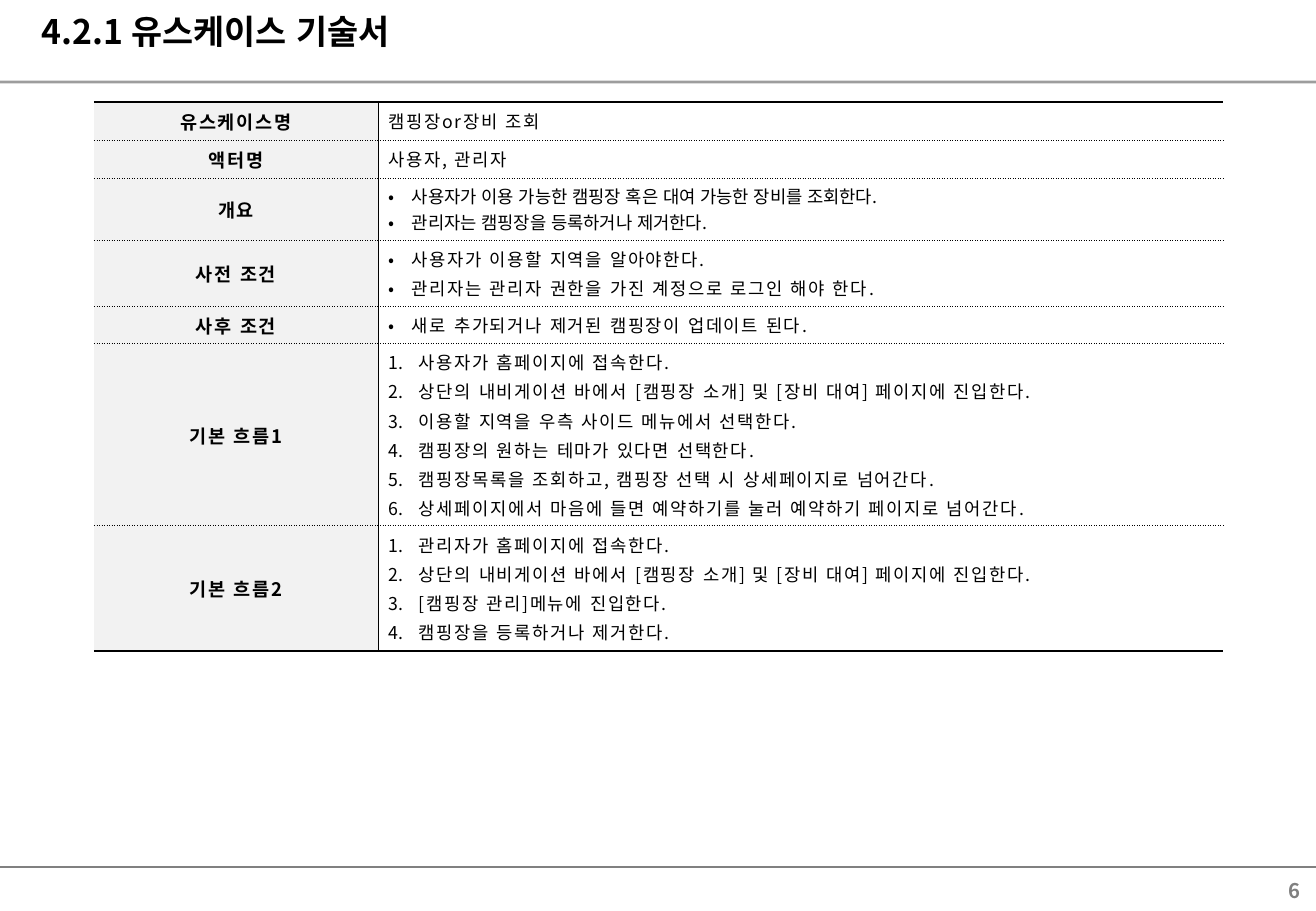
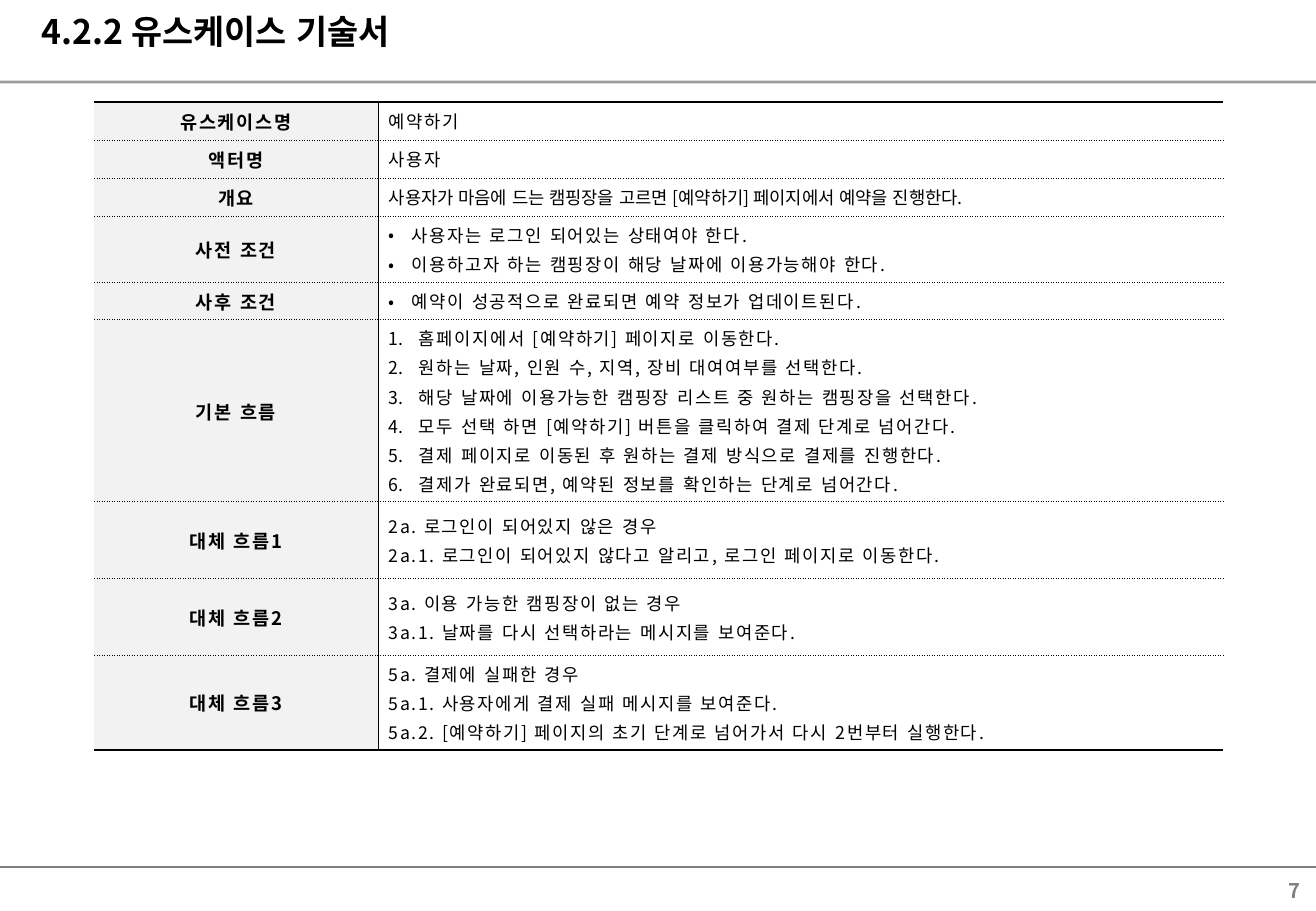
from dataclasses import dataclass
from enum import Enum
from itertools import count
from typing import Any

from lxml.etree import SubElement
from pptx import Presentation
from pptx.dml.color import RGBColor
from pptx.enum.shapes import MSO_CONNECTOR
from pptx.enum.text import MSO_ANCHOR, PP_ALIGN
from pptx.oxml.ns import qn
from pptx.util import Emu, Pt

# Shared look
SCALE = 7526  # EMU in one px
FONT = "Noto Sans CJK KR"
BLACK = RGBColor(0x00, 0x00, 0x00)
GRAY = RGBColor(0x80, 0x80, 0x80)
PALE = RGBColor(0xF2, 0xF2, 0xF2)
WHITE = RGBColor(0xFF, 0xFF, 0xFF)
WIDE, HIGH = 1316, 911
LEFT, TOP = 94, 102
COLS = (284, 845)

TITLE = {"size": Pt(20), "bold": True, "color": BLACK}
PAGE = {"size": Pt(12), "bold": True, "color": GRAY}
LABEL = {"size": Pt(11), "bold": True, "color": BLACK}
BODY = {"size": Pt(10.5), "bold": False, "color": BLACK}


class Mark(Enum):
    NONE = 0
    DOT = 23
    NUM = 30  # each value is the hanging indent in px


@dataclass(frozen=True)
class Row:
    name: str
    high: int
    lines: tuple[str, ...]
    mark: Mark = Mark.NONE
    tight: bool = False


@dataclass(frozen=True)
class Sheet:
    title: str
    page: int
    rows: tuple[Row, ...]


SHEETS = (
    Sheet("4.2.1 유스케이스 기술서", 6, (
        Row("유스케이스명", 38, ("캠핑장or장비 조회",)),
        Row("액터명", 38, ("사용자, 관리자",)),
        Row("개요", 62, (
            "사용자가 이용 가능한 캠핑장 혹은 대여 가능한 장비를 조회한다.",
            "관리자는 캠핑장을 등록하거나 제거한다.",
        ), Mark.DOT, True),
        Row("사전 조건", 66, (
            "사용자가 이용할 지역을 알아야한다.",
            "관리자는 관리자 권한을 가진 계정으로 로그인 해야 한다.",
        ), Mark.DOT),
        Row("사후 조건", 38, ("새로 추가되거나 제거된 캠핑장이 업데이트 된다.",), Mark.DOT),
        Row("기본 흐름1", 182, (
            "사용자가 홈페이지에 접속한다.",
            "상단의 내비게이션 바에서 [캠핑장 소개] 및 [장비 대여] 페이지에 진입한다.",
            "이용할 지역을 우측 사이드 메뉴에서 선택한다.",
            "캠핑장의 원하는 테마가 있다면 선택한다.",
            "캠핑장목록을 조회하고, 캠핑장 선택 시 상세페이지로 넘어간다.",
            "상세페이지에서 마음에 들면 예약하기를 눌러 예약하기 페이지로 넘어간다.",
        ), Mark.NUM),
        Row("기본 흐름2", 125, (
            "관리자가 홈페이지에 접속한다.",
            "상단의 내비게이션 바에서 [캠핑장 소개] 및 [장비 대여] 페이지에 진입한다.",
            "[캠핑장 관리]메뉴에 진입한다.",
            "캠핑장을 등록하거나 제거한다.",
        ), Mark.NUM),
    )),
    Sheet("4.2.2 유스케이스 기술서", 7, (
        Row("유스케이스명", 38, ("예약하기",)),
        Row("액터명", 38, ("사용자",)),
        Row("개요", 38, (
            "사용자가 마음에 드는 캠핑장을 고르면 [예약하기] 페이지에서 예약을 진행한다.",
        ), tight=True),
        Row("사전 조건", 66, (
            "사용자는 로그인 되어있는 상태여야 한다.",
            "이용하고자 하는 캠핑장이 해당 날짜에 이용가능해야 한다.",
        ), Mark.DOT),
        Row("사후 조건", 38, ("예약이 성공적으로 완료되면 예약 정보가 업데이트된다.",), Mark.DOT),
        Row("기본 흐름", 182, (
            "홈페이지에서 [예약하기] 페이지로 이동한다.",
            "원하는 날짜, 인원 수, 지역, 장비 대여여부를 선택한다.",
            "해당 날짜에 이용가능한 캠핑장 리스트 중 원하는 캠핑장을 선택한다.",
            "모두 선택 하면 [예약하기] 버튼을 클릭하여 결제 단계로 넘어간다.",
            "결제 페이지로 이동된 후 원하는 결제 방식으로 결제를 진행한다.",
            "결제가 완료되면, 예약된 정보를 확인하는 단계로 넘어간다.",
        ), Mark.NUM),
        Row("대체 흐름1", 77, (
            "2a. 로그인이 되어있지 않은 경우",
            "2a.1. 로그인이 되어있지 않다고 알리고, 로그인 페이지로 이동한다.",
        )),
        Row("대체 흐름2", 77, (
            "3a. 이용 가능한 캠핑장이 없는 경우",
            "3a.1. 날짜를 다시 선택하라는 메시지를 보여준다.",
        )),
        Row("대체 흐름3", 94, (
            "5a. 결제에 실패한 경우",
            "5a.1. 사용자에게 결제 실패 메시지를 보여준다.",
            "5a.2. [예약하기] 페이지의 초기 단계로 넘어가서 다시 2번부터 실행한다.",
        )),
    )),
)


def px(size: int) -> Emu:
    return Emu(size * SCALE)


def put(item: Any, form: dict[str, Any]) -> None:
    for key, value in form.items():
        setattr(item, key, value)


def write(para: Any, text: str, form: dict[str, Any], gap: int = 0) -> None:
    """Add one run; gap is letter spacing in hundredths of a point."""
    run = para.add_run()
    run.text = text
    font = run.font
    font.color.rgb = form["color"]
    put(font, {"size": form["size"], "bold": form["bold"], "name": FONT})
    props = run._r.get_or_add_rPr()
    props.set("lang", "ko-KR")
    props.set("spc", str(gap))
    SubElement(props, qn("a:ea"), typeface=FONT)


def bullet(para: Any, mark: Mark) -> None:
    if mark is Mark.NONE:
        return
    props = para._p.get_or_add_pPr()
    props.set("marL", str(px(mark.value)))
    props.set("indent", str(-px(mark.value)))
    SubElement(props, qn("a:buFont"), typeface=FONT)
    if mark is Mark.DOT:
        SubElement(props, qn("a:buChar"), char="•")
    else:
        SubElement(props, qn("a:buAutoNum"), type="arabicPeriod")


def box(slide: Any, area: tuple[int, int, int, int], text: str,
        form: dict[str, Any], align: PP_ALIGN, anchor: MSO_ANCHOR) -> None:
    frame = slide.shapes.add_textbox(*map(px, area)).text_frame
    put(frame, {"word_wrap": True, "vertical_anchor": anchor,
                "margin_left": px(12), "margin_right": px(12),
                "margin_top": 0, "margin_bottom": 0})
    para = frame.paragraphs[0]
    para.alignment = align
    write(para, text, form)


def rule(slide: Any, y: int, width: float, alpha: int = 100) -> None:
    line = slide.shapes.add_connector(
        MSO_CONNECTOR.STRAIGHT, 0, px(y), px(WIDE), px(y))
    line.line.color.rgb = GRAY
    line.line.width = Pt(width)
    props = line._element.spPr
    SubElement(props, qn("a:effectLst"))
    if alpha < 100:
        color = next(props.iter(qn("a:srgbClr")))
        SubElement(color, qn("a:alpha"), val=str(alpha * 1000))


def edge(cell: Any, side: str, width: float, dash: str = "solid") -> None:
    """Draw one cell border; a zero width means none."""
    props = cell._tc.get_or_add_tcPr()
    line = SubElement(props, qn(f"a:ln{side}"), w=str(Pt(width)))
    if not width:
        SubElement(line, qn("a:noFill"))
        return
    fill = SubElement(line, qn("a:solidFill"))
    SubElement(fill, qn("a:srgbClr"), val=str(BLACK))
    SubElement(line, qn("a:prstDash"), val=dash)


def style(cell: Any, col: int, first: bool, last: bool) -> None:
    put(cell, {"vertical_anchor": MSO_ANCHOR.MIDDLE,
               "margin_left": px(11), "margin_right": px(11),
               "margin_top": px(5), "margin_bottom": px(5)})
    edge(cell, "L", 0.5 * col)
    edge(cell, "R", 0.5 * (1 - col))
    for side, outer in (("T", first), ("B", last)):
        if outer:
            edge(cell, side, 1.5)
        else:
            edge(cell, side, 0.5, "dot")
    cell.fill.solid()
    cell.fill.fore_color.rgb = WHITE if col else PALE


def grid(slide: Any, rows: tuple[Row, ...]) -> None:
    high = sum(row.high for row in rows)
    table = slide.shapes.add_table(
        len(rows), len(COLS), px(LEFT), px(TOP), px(sum(COLS)), px(high)).table
    put(table, {"first_row": False, "horz_banding": False})
    for col, width in zip(table.columns, COLS):
        col.width = px(width)
    for num, row in enumerate(rows):
        table.rows[num].height = px(row.high)
        name, body = table.cell(num, 0), table.cell(num, 1)
        for col, cell in enumerate((name, body)):
            style(cell, col, num == 0, num == len(rows) - 1)
        para = name.text_frame.paragraphs[0]
        para.alignment = PP_ALIGN.CENTER
        write(para, row.name, LABEL, 100)
        frame = body.text_frame
        for pos, text in zip(count(), row.lines):
            para = frame.add_paragraph() if pos else frame.paragraphs[0]
            bullet(para, row.mark)
            if pos and not row.tight:
                para.space_before = Pt(2.1)
            write(para, text, BODY, 0 if row.tight else 100)


def build(deck: Any, sheet: Sheet) -> None:
    slide = deck.slides.add_slide(deck.slide_layouts[6])
    # Frame lines
    rule(slide, 867, 0.75)
    rule(slide, 82, 1.5, 76)
    # Title and page number
    box(slide, (30, 11, 1267, 60), sheet.title, TITLE,
        PP_ALIGN.LEFT, MSO_ANCHOR.TOP)
    box(slide, (1016, 871, 296, 38), str(sheet.page), PAGE,
        PP_ALIGN.RIGHT, MSO_ANCHOR.MIDDLE)
    # Use case table
    grid(slide, sheet.rows)


def main() -> None:
    deck = Presentation()
    put(deck, {"slide_width": px(WIDE), "slide_height": px(HIGH)})
    for sheet in SHEETS:
        build(deck, sheet)
    deck.save("out.pptx")


if __name__ == "__main__":
    main()
